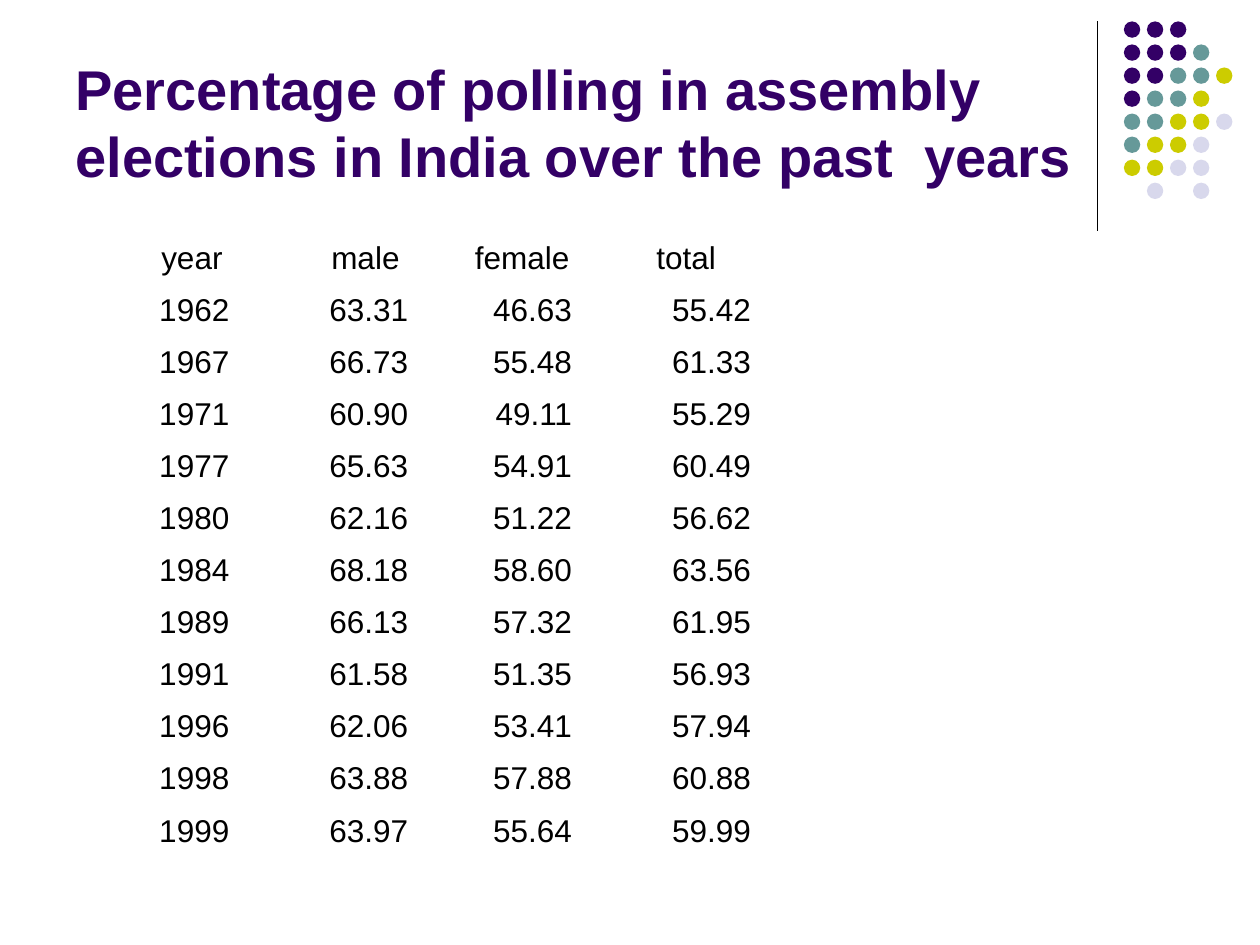
"""Build a slide with a table of polling percentages in India."""
import pptx
import pptx.dml.color
import pptx.enum.shapes
import pptx.enum.text
import pptx.oxml.ns
import pptx.util
from lxml import etree

Inches = pptx.util.Inches
Pt = pptx.util.Pt
ALIGN = pptx.enum.text.PP_ALIGN
ANCHOR = pptx.enum.text.MSO_ANCHOR

COLORS = {
    "ink": "000000",
    "plum": "330066",
    "teal": "669999",
    "lime": "CCCC00",
    "mist": "D8D8EC",
}
HUES = {"p": "plum", "t": "teal", "l": "lime", "m": "mist"}
DOTS = ["ppp", "pppt", "ppttl", "pttl", "ttllm", "tllm", "llmm", " m m"]
TITLE = "Percentage of polling in assembly elections in India over the past  years"
HEADS = ["year", "male", "female", "total"]
INSETS = [0.78, 0.71, 0.43, 0.57]
WIDTHS = [1.42, 1.42, 1.3, 1.42]
POLLS = [
    ["1962", "63.31", "46.63", "55.42"],
    ["1967", "66.73", "55.48", "61.33"],
    ["1971", "60.90", "49.11", "55.29"],
    ["1977", "65.63", "54.91", "60.49"],
    ["1980", "62.16", "51.22", "56.62"],
    ["1984", "68.18", "58.60", "63.56"],
    ["1989", "66.13", "57.32", "61.95"],
    ["1991", "61.58", "51.35", "56.93"],
    ["1996", "62.06", "53.41", "57.94"],
    ["1998", "63.88", "57.88", "60.88"],
    ["1999", "63.97", "55.64", "59.99"],
]


def tint(name):
    return pptx.dml.color.RGBColor.from_string(COLORS[name])


def write(para, text, size, hue, bold=False):
    para.text = text
    para.font.name = "Arial"
    para.font.size = Pt(size)
    para.font.bold = bold
    para.font.color.rgb = tint(hue)


def add_rule(slide):
    rule = slide.shapes.add_connector(
        pptx.enum.shapes.MSO_CONNECTOR.STRAIGHT,
        Inches(8.71), Inches(0.17), Inches(8.71), Inches(1.83))
    rule.line.color.rgb = tint("ink")
    rule.line.width = Pt(0.75)
    etree.SubElement(rule._element.spPr, pptx.oxml.ns.qn("a:effectLst"))


def add_dots(slide):
    step, size = 1.28 / 7, Inches(0.13)
    for row, line in enumerate(DOTS):
        for col, key in enumerate(line):
            if key == " ":
                continue
            dot = slide.shapes.add_shape(
                pptx.enum.shapes.MSO_SHAPE.OVAL,
                Inches(8.92 + col * step), Inches(0.17 + row * step), size, size)
            dot.shadow.inherit = False
            dot.fill.solid()
            dot.fill.fore_color.rgb = tint(HUES[key])
            dot.line.fill.background()


def add_title(slide):
    box = slide.shapes.add_textbox(
        Inches(0.5), Inches(0.13), Inches(8.25), Inches(1.42))
    frame = box.text_frame
    frame.word_wrap = True
    frame.vertical_anchor = ANCHOR.BOTTOM
    write(frame.paragraphs[0], TITLE, 32, "plum", True)


def add_polls(slide):
    rows = [HEADS] + POLLS
    table = slide.shapes.add_table(
        len(rows), len(HEADS), Inches(0.5), Inches(1.83),
        Inches(sum(WIDTHS)), Inches(4.96)).table
    table.first_row = table.horz_banding = False
    for col, width in enumerate(WIDTHS):
        table.columns[col].width = Inches(width)
    for row, texts in enumerate(rows):
        for col, text in enumerate(texts):
            cell = table.cell(row, col)
            cell.fill.background()
            cell.vertical_anchor = ANCHOR.BOTTOM
            para = cell.text_frame.paragraphs[0]
            write(para, text, 18, "ink")
            if row:
                para.alignment = ALIGN.RIGHT
            else:
                cell.margin_left = Inches(INSETS[col])
                cell.margin_right = 0


def main():
    deck = pptx.Presentation()
    deck.slide_width, deck.slide_height = Inches(10), Inches(7.5)
    slide = deck.slides.add_slide(deck.slide_layouts[6])
    add_rule(slide)
    add_dots(slide)
    add_title(slide)
    add_polls(slide)
    deck.save("out.pptx")


if __name__ == "__main__":
    main()
